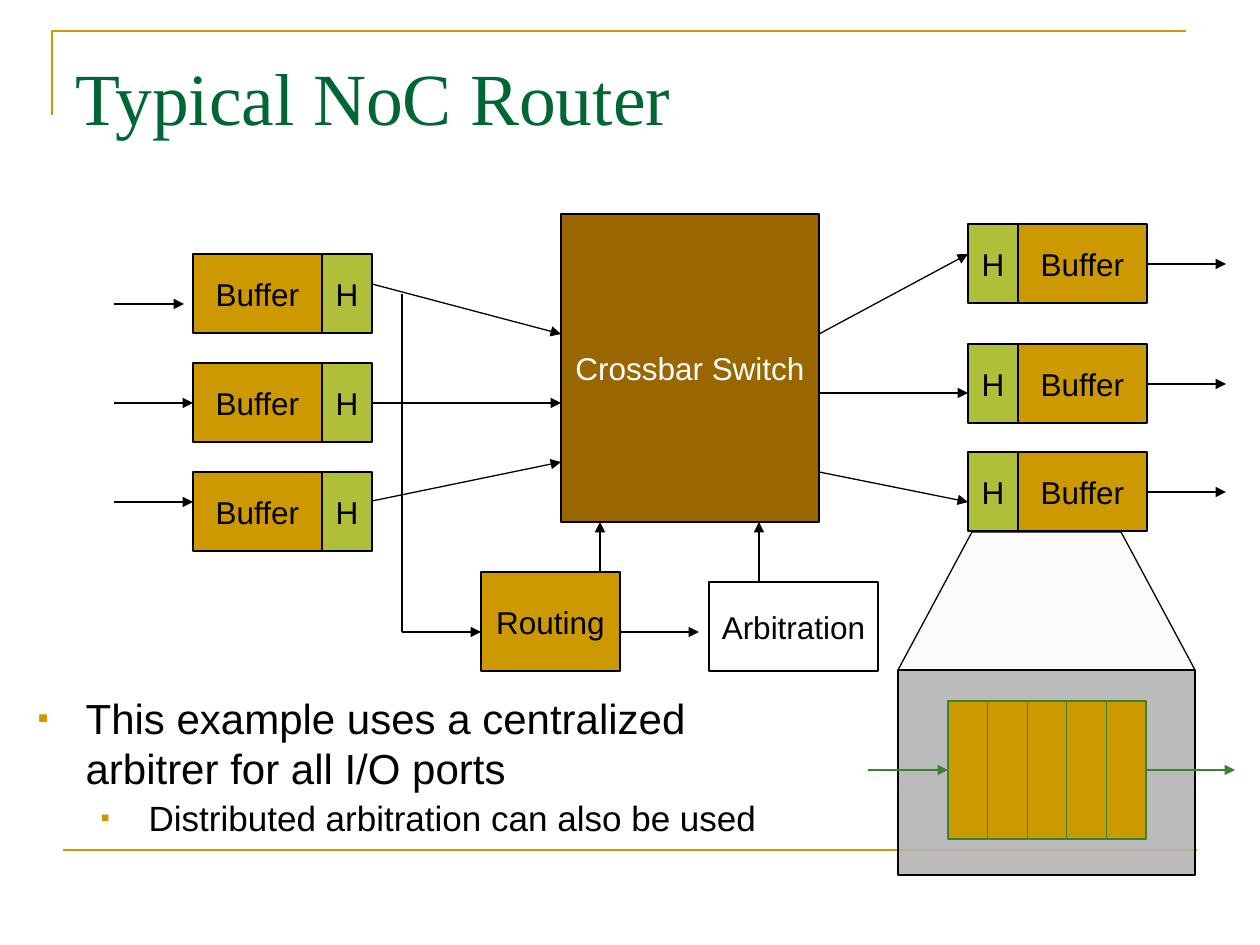
from lxml import etree
from pptx import Presentation
from pptx.dml.color import RGBColor
from pptx.enum import shapes, text
from pptx.oxml import ns
from pptx.util import Pt

SCALE = 914400 / 126  # EMU per px
COLORS = {
    "gold": "CC9900", "brown": "996600", "lime": "AFBF39", "black": "000000",
    "white": "FFFFFF", "title": "006633", "green": "3B812F", "gray": "B2B2B2",
    "lens": "DFDEF6",
}
BUFFER_WIDTH, HEADER_WIDTH, PORT_HEIGHT = 129, 50, 79


def px(length):
    return round(length * SCALE)


def color(name):
    return RGBColor.from_string(COLORS[name])


def sub(parent, tag, **attributes):
    return etree.SubElement(parent, ns.qn(tag), attributes)


def style(shape, fill, line="black", width=0.75, alpha=None):
    shape.shadow.inherit = False
    if fill:
        shape.fill.solid()
        shape.fill.fore_color.rgb = color(fill)
        if alpha:
            clr = shape._element.spPr.find(".//" + ns.qn("a:srgbClr"))
            sub(clr, "a:alpha", val=str(alpha * 1000))
    else:
        shape.fill.background()
    shape.line.color.rgb = color(line)
    shape.line.width = Pt(width)


def format_runs(para, size, name, fill="black"):
    for span in para.runs:
        span.font.size = Pt(size)
        span.font.name = name
        span.font.color.rgb = color(fill)


def add_block(page, box, fill, label="", ink="black", line="black", alpha=None):
    block = page.shapes.add_shape(shapes.MSO_SHAPE.RECTANGLE, *map(px, box))
    style(block, fill, line, alpha=alpha)
    if label:
        frame = block.text_frame
        frame.word_wrap = False
        frame.vertical_anchor = text.MSO_ANCHOR.MIDDLE
        frame.text = label
        frame.paragraphs[0].alignment = text.PP_ALIGN.CENTER
        format_runs(frame.paragraphs[0], 18, "Arial", ink)


def add_line(page, start, end, arrow=True, line="black", width=0.75):
    wire = page.shapes.add_connector(
        shapes.MSO_CONNECTOR.STRAIGHT, *map(px, (*start, *end)))
    wire.line.color.rgb = color(line)
    wire.line.width = Pt(width)
    if arrow:
        sub(wire.line._get_or_add_ln(), "a:tailEnd", type="triangle")
    sub(wire._element.spPr, "a:effectLst")


def add_outline(page, points, fill, close, **look):
    builder = page.shapes.build_freeform(*points[0], scale=SCALE)
    builder.add_line_segments(points[1:], close=close)
    style(builder.convert_to_shape(), fill, **look)


def add_frame(page, box):
    """Corner rule at the top left and rule along the foot."""
    left, top, width, height = box
    add_outline(page, [(left, top + 84), (left, top), (left + width, top)],
                None, False, line="gold", width=1.5)
    foot = top + height
    add_line(page, (left + 11, foot), (left + 11 + width, foot),
             arrow=False, line="gold", width=1.5)


def add_title(page, box):
    title = page.shapes.title
    title.left, title.top, title.width, title.height = map(px, box)
    frame = title.text_frame
    frame.text = "Typical NoC Router"
    frame.vertical_anchor = text.MSO_ANCHOR.TOP
    frame.margin_top = px(14)
    frame.paragraphs[0].alignment = text.PP_ALIGN.LEFT
    format_runs(frame.paragraphs[0], 42, "Times New Roman", "title")


def add_notes_list(page, box):
    body = page.placeholders[1]
    body.left, body.top, body.width, body.height = map(px, box)
    frame = body.text_frame
    frame.margin_top = px(12)
    frame.vertical_anchor = text.MSO_ANCHOR.TOP
    items = [
        ("This example uses a centralized arbitrer for all I/O ports", 24, 48, 0),
        ("Distributed arbitration can also be used", 20, 111, 2),
    ]
    for level, (words, size, indent, gap) in enumerate(items):
        para = frame.paragraphs[0] if level == 0 else frame.add_paragraph()
        para.text = words
        para.level = level
        para.space_before = Pt(gap)
        properties = para._p.get_or_add_pPr()
        properties.set("marL", str(px(indent)))
        properties.set("indent", str(px(-48)))
        sub(sub(properties, "a:buClr"), "a:srgbClr", val=COLORS["gold"])
        sub(properties, "a:buSzPct", val="75000")
        sub(properties, "a:buFont", typeface="Arial")
        sub(properties, "a:buChar", char="▪")
        format_runs(para, size, "Arial")


def add_port(page, left, top, header_first):
    """Buffer with its header cell on the side facing the switch."""
    buffer_left = left + HEADER_WIDTH if header_first else left
    header_left = left if header_first else left + BUFFER_WIDTH
    add_block(page, (buffer_left, top, BUFFER_WIDTH, PORT_HEIGHT), "gold", "Buffer")
    add_block(page, (header_left, top, HEADER_WIDTH, PORT_HEIGHT), "lime", "H")


def add_switch(page, box):
    """Crossbar with its input and output ports."""
    left, top, width, height = box
    right = left + width
    add_block(page, box, "brown", "Crossbar Switch", "white")

    # Input: port top, arrow y, arrow end, link start y, link end y
    input_left = left - 368
    link_left = input_left + BUFFER_WIDTH + HEADER_WIDTH
    for port, wire, gap, start, end in [
            (40, 90, 9, 70, 120), (149, 189, 0, 189, 189), (258, 288, 0, 287, 248)]:
        add_port(page, input_left, top + port, False)
        add_line(page, (input_left - 79, top + wire), (input_left - gap, top + wire))
        add_line(page, (link_left, top + start), (left, top + end))

    # Output: port top, link start y, link end y
    output_left = right + 149
    output_right = output_left + BUFFER_WIDTH + HEADER_WIDTH
    for port, start, end in [(10, 120, 40), (130, 179, 179), (238, 258, 288)]:
        add_port(page, output_left, top + port, True)
        add_line(page, (right, top + start), (output_left, top + end))
        middle = top + port + 40
        add_line(page, (output_right, middle), (output_right + 79, middle))


def add_control(page, box):
    """Routing and arbitration under the switch, fed by the input headers."""
    left, top, width, height = box
    wire = top + 60
    add_block(page, (left, top, 139, height), "gold", "Routing")
    add_block(page, (left + width - 169, top + 10, 169, height - 10),
              "white", "Arbitration")
    add_line(page, (left - 79, top - 278), (left - 79, wire), arrow=False)
    add_line(page, (left - 79, wire), (left, wire))
    add_line(page, (left + 139, wire), (left + 218, wire))
    add_line(page, (left + 119, top), (left + 119, top - 50))
    add_line(page, (left + 278, top + 10), (left + 278, top - 50))


def add_queue_detail(page, box):
    """Enlarged view of one output buffer as a five-slot queue."""
    left, top, width, height = box
    right = left + width
    add_block(page, box, "gray", alpha=88)
    queue_left, queue_top, queue_width, queue_height = left + 50, top + 31, 198, 138
    add_block(page, (queue_left, queue_top, queue_width, queue_height),
              "gold", line="green")
    for slot in range(1, 5):
        x = queue_left + slot * queue_width / 5
        add_line(page, (x, queue_top), (x, queue_top + queue_height),
                 arrow=False, line="green")
    middle = queue_top + queue_height / 2
    queue_right = queue_left + queue_width
    add_line(page, (left - 30, middle), (queue_left, middle), line="green")
    add_line(page, (queue_right, middle), (right + 40, middle), line="green")
    add_outline(page, [(left, top), (right, top), (right - 74, top - 138),
                       (left + 74, top - 138)], "lens", True, alpha=12)


def main():
    deck = Presentation()
    deck.slide_width, deck.slide_height = px(1260), px(945)
    page = deck.slides.add_slide(deck.slide_layouts[1])
    add_frame(page, (52, 31, 1134, 819))
    add_title(page, (63, 38, 1134, 157))
    add_notes_list(page, (25, 680, 815, 156))
    add_switch(page, (561, 214, 258, 308))
    add_control(page, (481, 572, 397, 99))
    add_queue_detail(page, (898, 670, 297, 205))
    deck.save("out.pptx")


if __name__ == "__main__":
    main()
